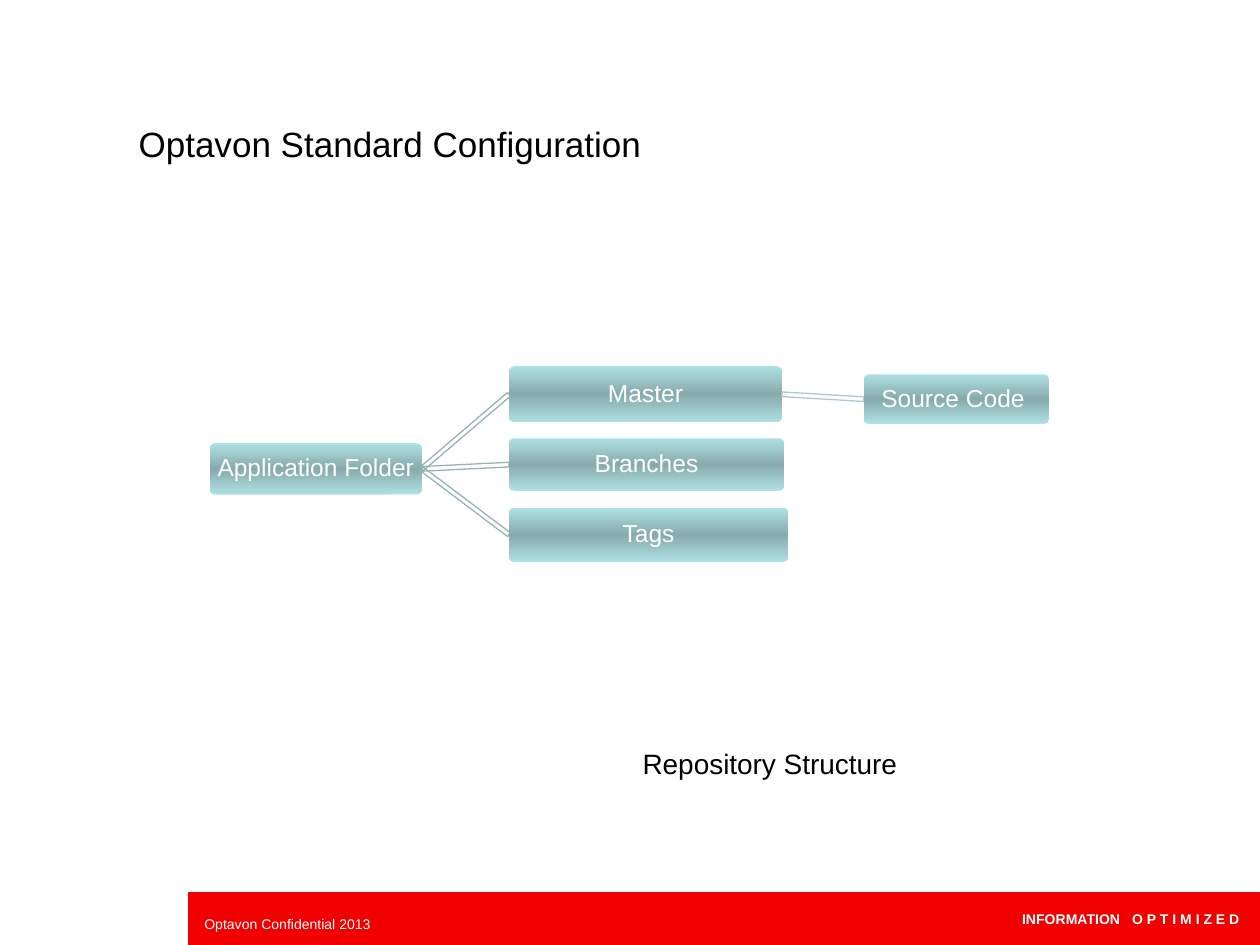
"""Build a slide showing the repository structure as a horizontal tree."""
from copy import deepcopy
from dataclasses import dataclass
from math import atan2, degrees, hypot

from lxml import etree
from pptx import Presentation
from pptx.dml.color import RGBColor
from pptx.enum import shapes, text
from pptx.oxml import ns
from pptx.util import Pt


@dataclass(frozen=True)
class Theme:
    font: str = "Arial"
    black: str = "000000"
    white: str = "FFFFFF"
    red: str = "F00000"
    light: str = "AFE0E3"
    dark: str = "87ABAD"
    link: str = "95B3B5"
    sublink: str = "A9CBCE"
    title: float = 20
    caption: float = 16
    node: float = 14
    footer: float = 8


theme = Theme()


def add_run(p, words, size, color, bold=False):
    r = p.add_run()
    r.text = words
    r.font.name = theme.font
    r.font.size = Pt(size)
    r.font.bold = bold
    r.font.color.rgb = RGBColor.from_string(color)
    return r


def set_frame(sp, align, anchor, margins=(7.2, 3.6, 7.2, 3.6), wrap=True):
    tf = sp.text_frame
    tf.auto_size = text.MSO_AUTO_SIZE.NONE
    tf.word_wrap = wrap
    tf.vertical_anchor = anchor
    tf.margin_left, tf.margin_top, tf.margin_right, tf.margin_bottom = map(Pt, margins)
    p = tf.paragraphs[0]
    p.alignment = align
    p.space_before = Pt(0)
    return p


prs = Presentation()
prs.slide_width, prs.slide_height = Pt(720), Pt(540)
s = prs.slides.add_slide(prs.slide_layouts[1])
left, center, right = text.PP_ALIGN.LEFT, text.PP_ALIGN.CENTER, text.PP_ALIGN.RIGHT
middle = text.MSO_ANCHOR.MIDDLE

title, body = s.placeholders
for sp, box, words, size in (
    (title, (72, 54, 570, 56), "Optavon Standard Configuration", theme.title),
    (body, (360, 422, 240, 28), "Repository Structure", theme.caption),
):
    sp.left, sp.top, sp.width, sp.height = map(Pt, box)
    p = set_frame(sp, left, middle)
    add_run(p, words, size, theme.black)
pPr = p._p.get_or_add_pPr()
pPr.set("marL", "0")
pPr.set("indent", "0")
etree.SubElement(pPr, ns.qn("a:buNone"))

bar = s.shapes.add_shape(shapes.MSO_SHAPE.RECTANGLE, Pt(108), Pt(509.8), Pt(612), Pt(30.2))
bar.shadow.inherit = False
bar.fill.solid()
bar.fill.fore_color.rgb = bar.line.color.rgb = RGBColor.from_string(theme.red)
bar.line.width = Pt(0.75)
p = set_frame(bar, right, middle, (7.2, 3.6, 11.6, 3.6))
add_run(p, "INFORMATION", theme.footer, theme.white, True)
r = add_run(p, " ", theme.footer, theme.white, True)
r._r.get_or_add_rPr().set("spc", "445")
add_run(p, "O P T I M I Z E D", theme.footer, theme.white, True)

sp = s.shapes.add_textbox(Pt(110), Pt(519.8), Pt(108.7), Pt(16.6))
p = set_frame(sp, center, text.MSO_ANCHOR.TOP, wrap=False)
add_run(p, "Optavon Confidential 2013", theme.footer, theme.white)

nodes = {
    "Application Folder": (120, 253.3, 121, 29.3),
    "Master": (290.9, 209.2, 156, 32.2),
    "Source Code ": (493.7, 214, 105.8, 28.2),
    "Branches": (290.9, 250.5, 157.2, 30),
    "Tags": (290.9, 290, 159.5, 31.2),
}
parents = {
    "Master": "Application Folder",
    "Source Code ": "Master",
    "Branches": "Application Folder",
    "Tags": "Application Folder",
}
link_height = 2.7

for name, (x, y, w, h) in nodes.items():
    if name in parents:
        px, py, pw, ph = nodes[parents[name]]
        x1, y1, x2, y2 = px + pw, py + ph / 2, x, y + h / 2
        length = hypot(x2 - x1, y2 - y1)
        link = s.shapes.add_shape(
            shapes.MSO_SHAPE.RECTANGLE,
            Pt((x1 + x2 - length) / 2), Pt((y1 + y2 - link_height) / 2),
            Pt(length), Pt(link_height),
        )
        link.rotation = degrees(atan2(y2 - y1, x2 - x1))
        link.shadow.inherit = False
        link.fill.background()
        color = theme.sublink if parents[name] in parents else theme.link
        link.line.color.rgb = RGBColor.from_string(color)
        link.line.width = Pt(0.75)

    node = s.shapes.add_shape(shapes.MSO_SHAPE.ROUNDED_RECTANGLE, Pt(x), Pt(y), Pt(w), Pt(h))
    node.adjustments[0] = 0.1
    node.shadow.inherit = False
    node.line.fill.background()
    node.fill.gradient()
    node.fill.gradient_angle = 270
    stops = node._element.spPr.find(".//" + ns.qn("a:gsLst"))
    stops.insert(1, deepcopy(stops[0]))
    colors = (theme.light, theme.dark, theme.light)
    for stop, position, color in zip(node.fill.gradient_stops, (0, 0.5, 1), colors):
        stop.position = position
        stop.color.rgb = RGBColor.from_string(color)
    p = set_frame(node, center, middle, (0.7, 0.7, 0.7, 0.7))
    p.line_spacing = 0.9
    add_run(p, name, theme.node, theme.white)

prs.save("out.pptx")
